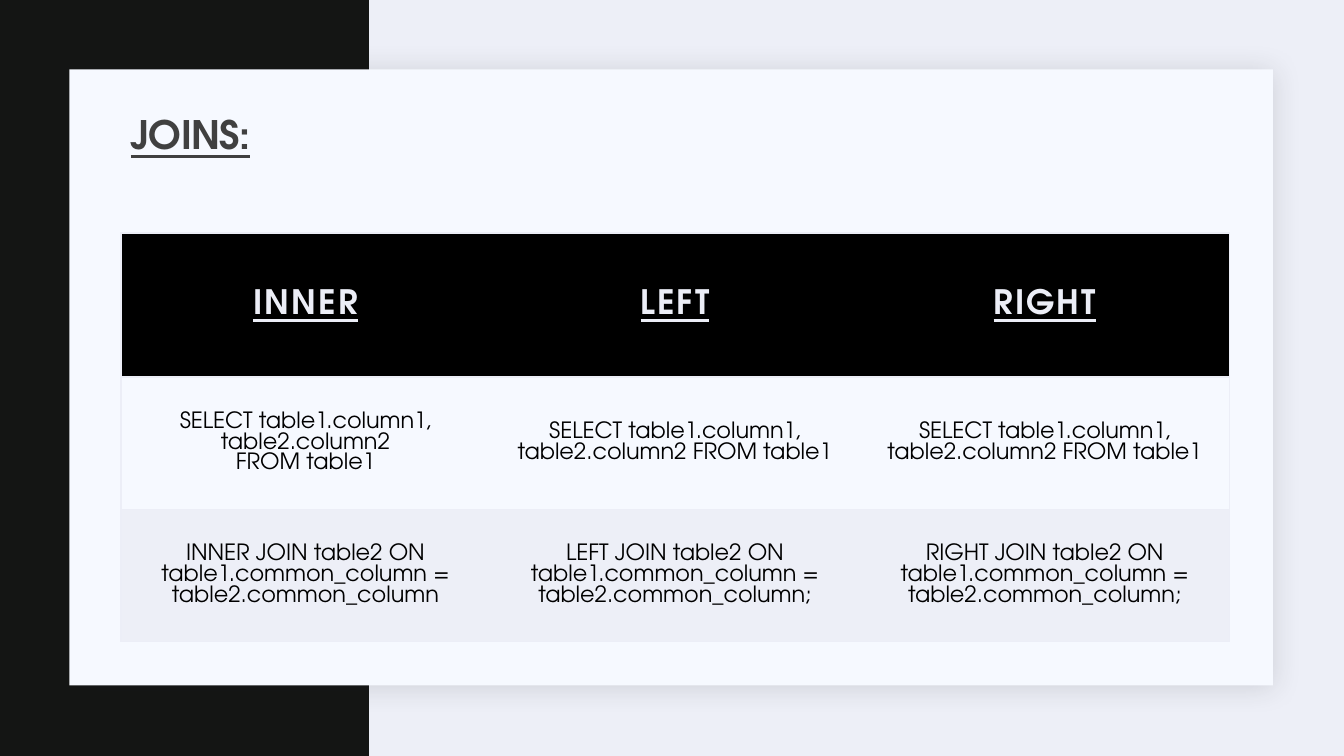
"""Build the slide that compares three kinds of SQL join."""
from dataclasses import dataclass
from typing import Any

from lxml.etree import SubElement as Sub
from pptx import Presentation
from pptx.dml.color import RGBColor as Rgb
from pptx.enum.shapes import MSO_SHAPE as Kind
from pptx.enum.text import MSO_ANCHOR as Anchor, PP_ALIGN as Align
from pptx.oxml import parse_xml
from pptx.oxml.ns import nsdecls, qn
from pptx.util import Cm, Pt

FONT = "TeX Gyre Adventor"
HUES = {
    "back": "EDEFF7", "band": "141514", "card": "F6F9FF", "shade": "1F2125",
    "edge": "ECEEF7", "head": "000000", "text": "000000", "title": "404040",
}


@dataclass
class Box:
    left: float
    top: float
    width: float
    height: float

    def place(self) -> list[Cm]:
        return [Cm(n) for n in (self.left, self.top, self.width, self.height)]


@dataclass
class Style:
    size: float
    hue: str
    bold: bool = False
    space: int = 0


@dataclass
class Row:
    height: float
    fill: str
    style: Style
    cells: list[str]


@dataclass
class Panel:
    box: Box
    hue: str


TITLE = Style(28, "title", True, -50)
HEAD = Style(24, "edge", True, 150)
BODY = Style(16, "text")
PANELS = [
    Panel(Box(0, 0, 9.3, 19.05), "band"),
    Panel(Box(1.75, 1.75, 30.33, 15.52), "card"),
]
WIDTHS = [9.3, 9.32, 9.32]
ROWS = [
    Row(3.63, "head", HEAD, ["INNER", "LEFT", "RIGHT"]),
    Row(3.33, "card", BODY, [
        "SELECT table1.column1, table2.column2\nFROM table1",
        "SELECT table1.column1, table2.column2 FROM table1",
        "SELECT table1.column1, table2.column2 FROM table1",
    ]),
    Row(3.33, "back", BODY, [
        "INNER JOIN table2 ON table1.common_column = table2.common_column",
        "LEFT JOIN table2 ON table1.common_column = table2.common_column;",
        "RIGHT JOIN table2 ON table1.common_column = table2.common_column;",
    ]),
]


def tint(fill: Any, hue: str) -> None:
    """Fill with one named colour."""
    fill.solid()
    fill.fore_color.rgb = Rgb.from_string(HUES[hue])


def write(frame: Any, text: str, style: Style, align: Align) -> None:
    """Set the text and style of a frame."""
    frame.text = text
    frame.word_wrap = True
    for para in frame.paragraphs:
        para.alignment = align
        font = para.font
        font.name, font.size = FONT, Pt(style.size)
        font.bold = font.underline = style.bold
        font.color.rgb = Rgb.from_string(HUES[style.hue])
        for run in para.runs:
            run._r.get_or_add_rPr().set("spc", str(style.space))


def draw(shapes: Any, panel: Panel) -> Any:
    """Draw a plain panel."""
    shape = shapes.add_shape(Kind.RECTANGLE, *panel.box.place())
    shape.shadow.inherit = False
    tint(shape.fill, panel.hue)
    shape.line.fill.background()
    return shape


def shade(shape: Any) -> None:
    """Cast a soft shadow."""
    glow = Sub(shape._element.spPr.find(qn("a:effectLst")), qn("a:outerShdw"),
               blurRad=str(Pt(20)), dist=str(Pt(2)), dir="2700000",
               algn="tl", rotWithShape="0")
    tone = Sub(glow, qn("a:srgbClr"), val=HUES["shade"])
    Sub(tone, qn("a:alpha"), val="15000")


def edge(cell: Any, sides: str) -> None:
    """Line the given sides of a cell and clear the rest."""
    props = cell._tc.get_or_add_tcPr()
    for spot, side in enumerate("LRTB"):
        paint = (f'<a:solidFill><a:srgbClr val="{HUES["edge"]}"/></a:solidFill>'
                 if side in sides else "<a:noFill/>")
        props.insert(spot, parse_xml(
            f'<a:ln{side} {nsdecls("a")} w="{Pt(1)}">{paint}</a:ln{side}>'))


def chart(shapes: Any, box: Box) -> None:
    """Draw the table of joins."""
    table = shapes.add_table(len(ROWS), len(WIDTHS), *box.place()).table
    for col, width in zip(table.columns, WIDTHS):
        col.width = Cm(width)
    for r, row in enumerate(ROWS):
        table.rows[r].height = Cm(row.height)
        for c, text in enumerate(row.cells):
            cell = table.cell(r, c)
            cell.margin_left = cell.margin_right = Cm(0.64)
            cell.margin_top = cell.margin_bottom = Cm(0.64)
            cell.vertical_anchor = Anchor.MIDDLE
            write(cell.text_frame, text, row.style, Align.CENTER)
            tint(cell.fill, row.fill)
            edge(cell, "TB" + {0: "L", len(WIDTHS) - 1: "R"}.get(c, ""))


def main() -> None:
    """Build and save the deck."""
    deck = Presentation()
    deck.slide_width, deck.slide_height = Cm(33.87), Cm(19.05)
    slide = deck.slides.add_slide(deck.slide_layouts[6])
    tint(slide.background.fill, "back")
    shapes = slide.shapes
    band, card = [draw(shapes, panel) for panel in PANELS]
    shade(card)
    chart(shapes, Box(3.05, 5.87, sum(WIDTHS), sum(row.height for row in ROWS)))
    frame = shapes.add_textbox(*Box(3.05, 2.62, 27.94, 1.63).place()).text_frame
    frame.vertical_anchor = Anchor.MIDDLE
    write(frame, "JOINS:", TITLE, Align.LEFT)
    frame.paragraphs[0].line_spacing = 0.9
    deck.save("out.pptx")


if __name__ == "__main__":
    main()
